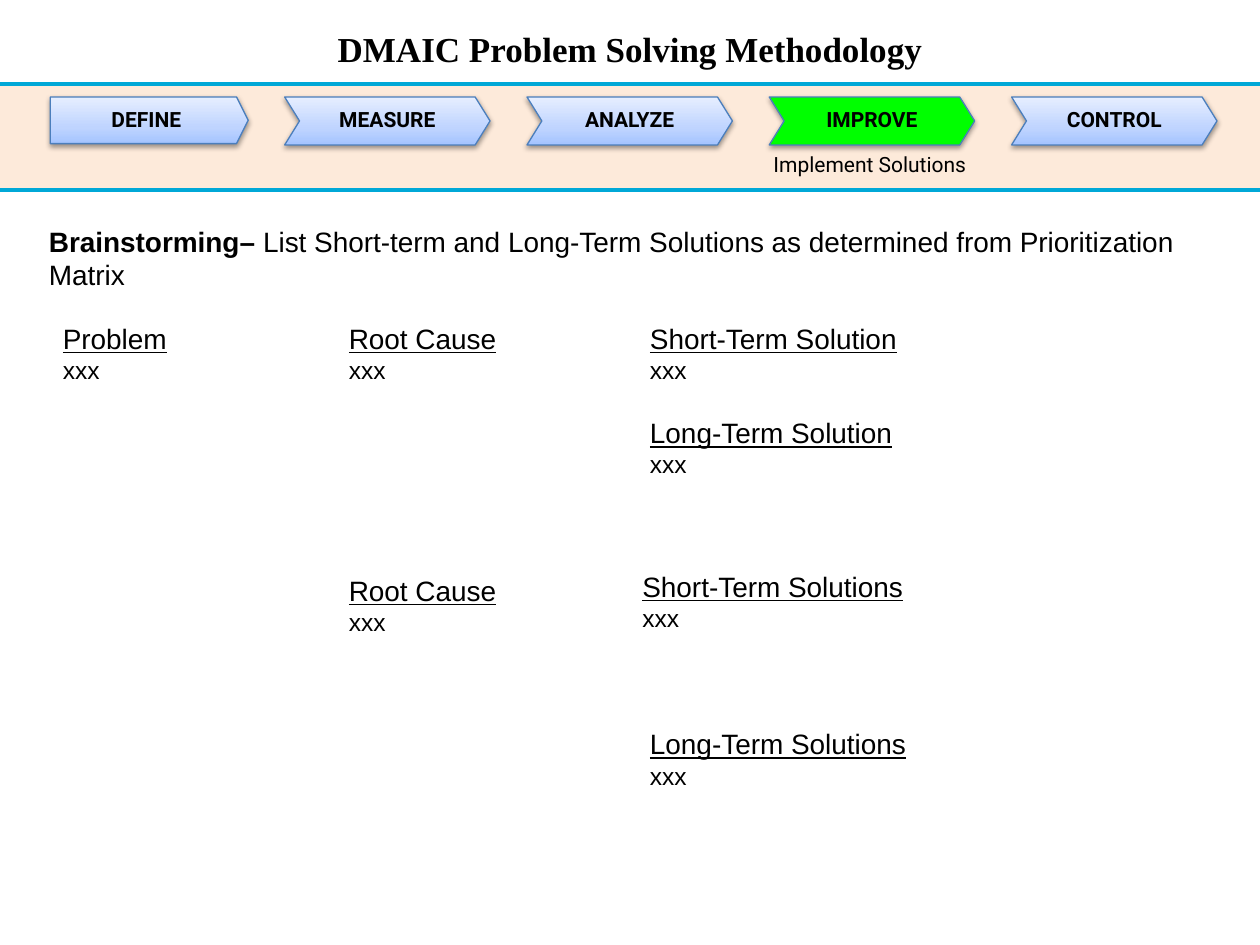
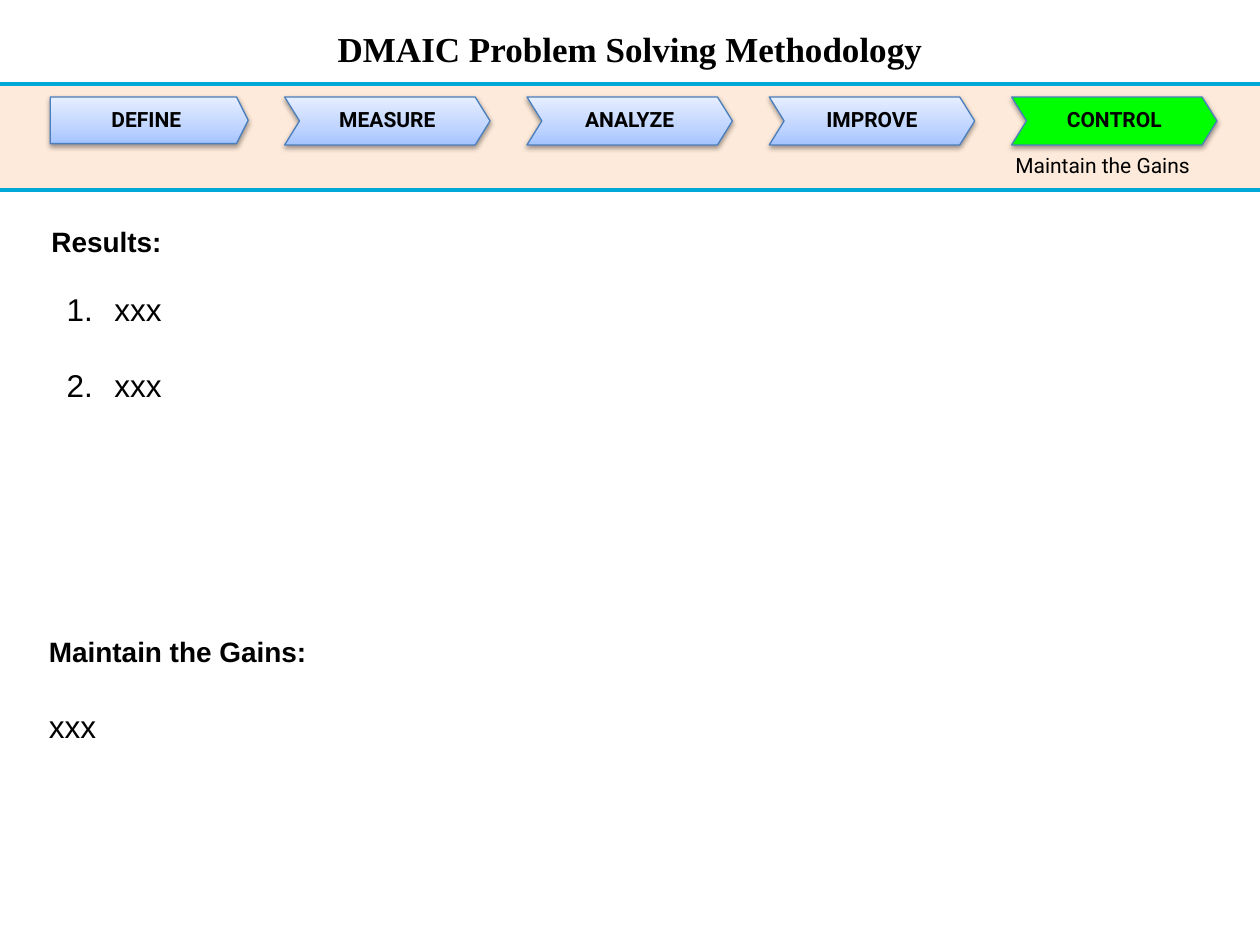
"""Build the Improve and Control slides of a DMAIC problem solving deck."""
from copy import deepcopy
from lxml import etree
from pptx import Presentation, util as u
from pptx.dml.color import RGBColor
from pptx.enum import shapes, text
from pptx.oxml.ns import qn

BLACK = RGBColor(0, 0, 0)
PEACH = RGBColor(0xFD, 0xEA, 0xDA)
CYAN = RGBColor(0x00, 0xA8, 0xD7)
EDGE = RGBColor(0x4B, 0x7E, 0xBC)
GREEN = RGBColor(0x00, 0xFF, 0x00)
FADE = [(0, RGBColor(0xA4, 0xC4, 0xFF)), (0.35, RGBColor(0xBF, 0xD4, 0xFF)),
        (1, RGBColor(0xE6, 0xEE, 0xFF))]

TITLE = {"name": "Times New Roman", "size": u.Pt(20), "bold": True}
STEP = {"name": "Roboto", "size": u.Pt(12), "bold": True}
NOTE = {"name": "Roboto", "size": u.Pt(12)}
HEAD = {"name": "Arial", "size": u.Pt(16), "bold": True}
LEAD = {"name": "Arial", "size": u.Pt(16)}
UNDER = {"name": "Arial", "size": u.Pt(16), "underline": True}
ITEM = {"name": "Arial", "size": u.Pt(14)}
BODY = {"name": "Arial", "size": u.Pt(18)}

deck = Presentation()
deck.slide_width, deck.slide_height = u.Inches(10), u.Inches(7.5)
CELL = deck.slide_width / 100
TOP, BASE = 6.7, 15.1
STEPS = ["DEFINE", "MEASURE", "ANALYZE", "IMPROVE", "CONTROL"]
FIRST, PITCH = 22.6, 19.23


def grid(*cells):
    return [round(n * CELL) for n in cells]


def write(frame, *lines, **layout):
    frame.word_wrap = True
    for i, line in enumerate(lines):
        para = frame.paragraphs[0] if i == 0 else frame.add_paragraph()
        for key, val in layout.items():
            setattr(para, key, val)
        for words, style in line:
            run = para.add_run()
            run.text = words
            run.font.color.rgb = BLACK
            for key, val in style.items():
                setattr(run.font, key, val)
    return frame.paragraphs


pages = []
for live, note, left, top in [(3, "Implement Solutions", 60.4, 11.5),
                              (4, "Maintain the Gains", 79.6, 11.6)]:
    page = deck.slides.add_slide(deck.slide_layouts[6])
    pages.append(page.shapes)
    name = page.shapes.add_textbox(*grid(8.9, 1.7, 82.2, 4.4))
    write(name.text_frame, [("DMAIC Problem Solving Methodology", TITLE)],
          alignment=text.PP_ALIGN.CENTER, space_before=u.Pt(2))

    band = page.shapes.add_shape(shapes.MSO_SHAPE.RECTANGLE,
                                 *grid(0, TOP, 100, BASE - TOP))
    band.shadow.inherit = False
    band.fill.solid()
    band.fill.fore_color.rgb = PEACH
    band.line.fill.background()

    for i, step in enumerate(STEPS):
        if i == 0:
            kind, bend, spot = shapes.MSO_SHAPE.PENTAGON, 0.25, (4, 7.7, 15.7, 3.7)
        else:
            kind, bend = shapes.MSO_SHAPE.CHEVRON, 0.31
            spot = (FIRST + PITCH * (i - 1), 7.7, 16.3, 3.8)
        tag = page.shapes.add_shape(kind, *grid(*spot))
        tag.adjustments[0] = bend
        if i == live:
            tag.fill.solid()
            tag.fill.fore_color.rgb = GREEN
        else:
            tag.fill.gradient()
            tag.fill.gradient_angle = 90
            stops = tag._element.spPr.find(qn("a:gradFill")).find(qn("a:gsLst"))
            stops.append(deepcopy(stops[0]))
            for stop, (place, shade) in zip(tag.fill.gradient_stops, FADE):
                stop.position = place
                stop.color.rgb = shade
        tag.line.color.rgb = EDGE
        tag.line.width = u.Pt(0.75)
        tag.shadow.inherit = False
        cast = etree.SubElement(
            tag._element.spPr.find(qn("a:effectLst")), qn("a:outerShdw"),
            blurRad=str(u.Pt(3.1)), dist=str(u.Pt(1.6)), dir="5400000", rotWithShape="0")
        tint = etree.SubElement(cast, qn("a:srgbClr"), val=str(BLACK))
        etree.SubElement(tint, qn("a:alpha"), val="38000")
        tag.text_frame.vertical_anchor = text.MSO_ANCHOR.MIDDLE
        write(tag.text_frame, [(step, STEP)],
              alignment=text.PP_ALIGN.CENTER, line_spacing=0.9)

    box = page.shapes.add_textbox(*grid(left, top, 17.8, 3.9))
    write(box.text_frame, [(note, NOTE)])
    for y in (TOP, BASE):
        rule = page.shapes.add_connector(shapes.MSO_CONNECTOR.STRAIGHT,
                                         *grid(0, y, 100, y))
        rule.line.color.rgb = CYAN
        rule.line.width = u.Pt(2.25)
        etree.SubElement(rule._element.spPr, qn("a:effectLst"))

improve, control = pages
intro = improve.add_textbox(*grid(2.9, 17.3, 92.6, 9.4))
write(intro.text_frame, [
    ("Brainstorming– ", HEAD),
    ("List Short-term and Long-Term Solutions as determined from Prioritization Matrix",
     LEAD)])
for label, x, y, wide in [("Problem", 4, 25, 21),
                          ("Root Cause", 26.7, 25, 21),
                          ("Short-Term Solution", 50.6, 25, 41.9),
                          ("Long-Term Solution", 50.6, 32.5, 37.8),
                          ("Root Cause", 26.7, 45, 21),
                          ("Short-Term Solutions", 50, 44.7, 43.6),
                          ("Long-Term Solutions", 50.6, 57.2, 47)]:
    box = improve.add_textbox(*grid(x, y, wide, 6.1))
    write(box.text_frame, [(label, UNDER)], [("xxx", ITEM)])

box = control.add_textbox(*grid(3.1, 17.3, 92.6, 6.7))
write(box.text_frame, [("Results:", HEAD)])
box = control.add_textbox(*grid(2.9, 49.9, 92.6, 9.8))
gains = write(box.text_frame, [("Maintain the Gains:", HEAD)], [("xxx", BODY)])
gains[1].space_before = u.Pt(22)
box = control.add_textbox(*grid(4.3, 22.5, 90.2, 10.1))
items = write(box.text_frame, [("xxx", BODY)], [("xxx", BODY)])
items[1].space_before = u.Pt(22)
for item in items:
    prop = item._p.get_or_add_pPr()
    prop.set("marL", str(u.Inches(0.38)))
    prop.set("indent", str(u.Inches(-0.38)))
    etree.SubElement(prop, qn("a:buAutoNum"), type="arabicPeriod")

deck.save("out.pptx")
